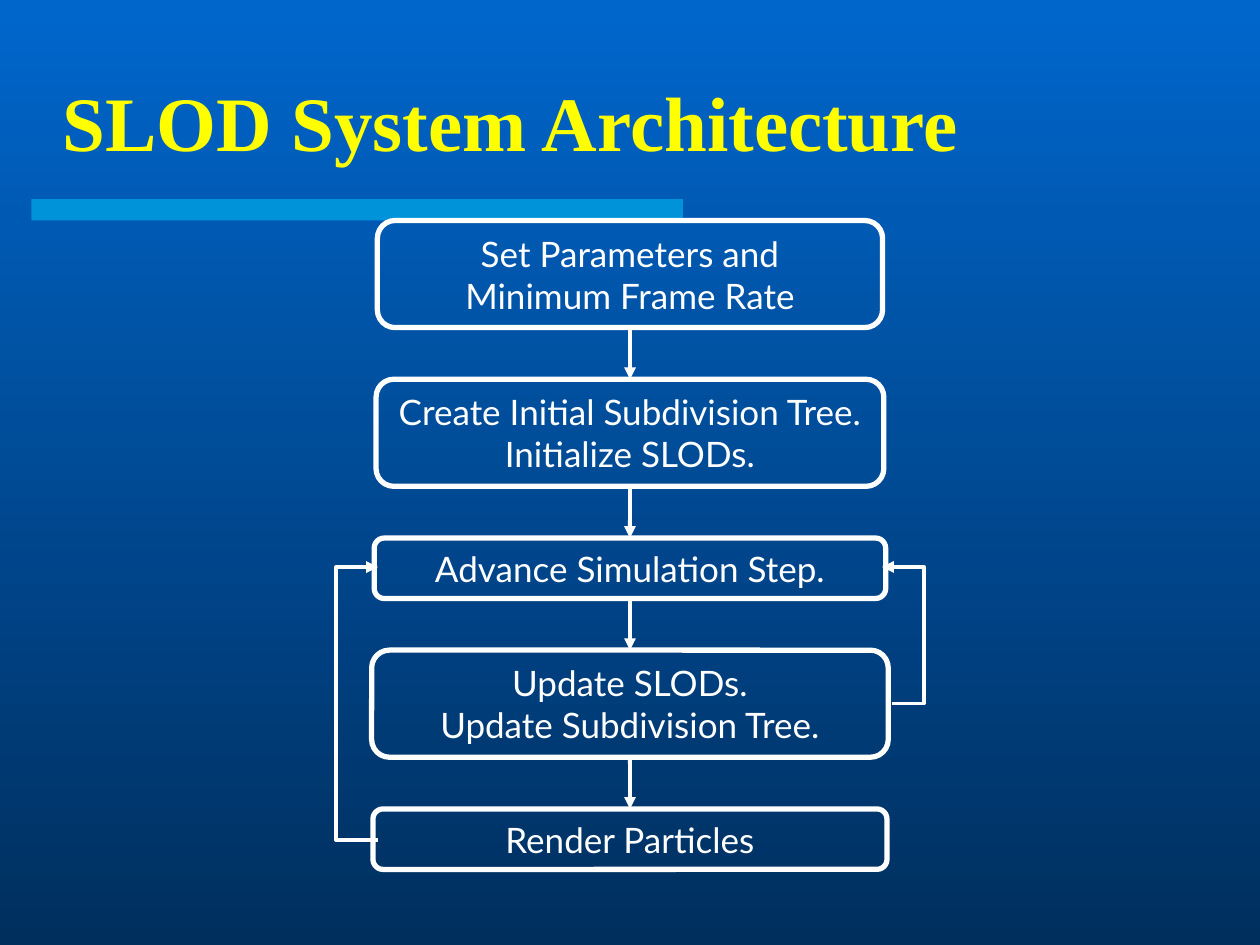
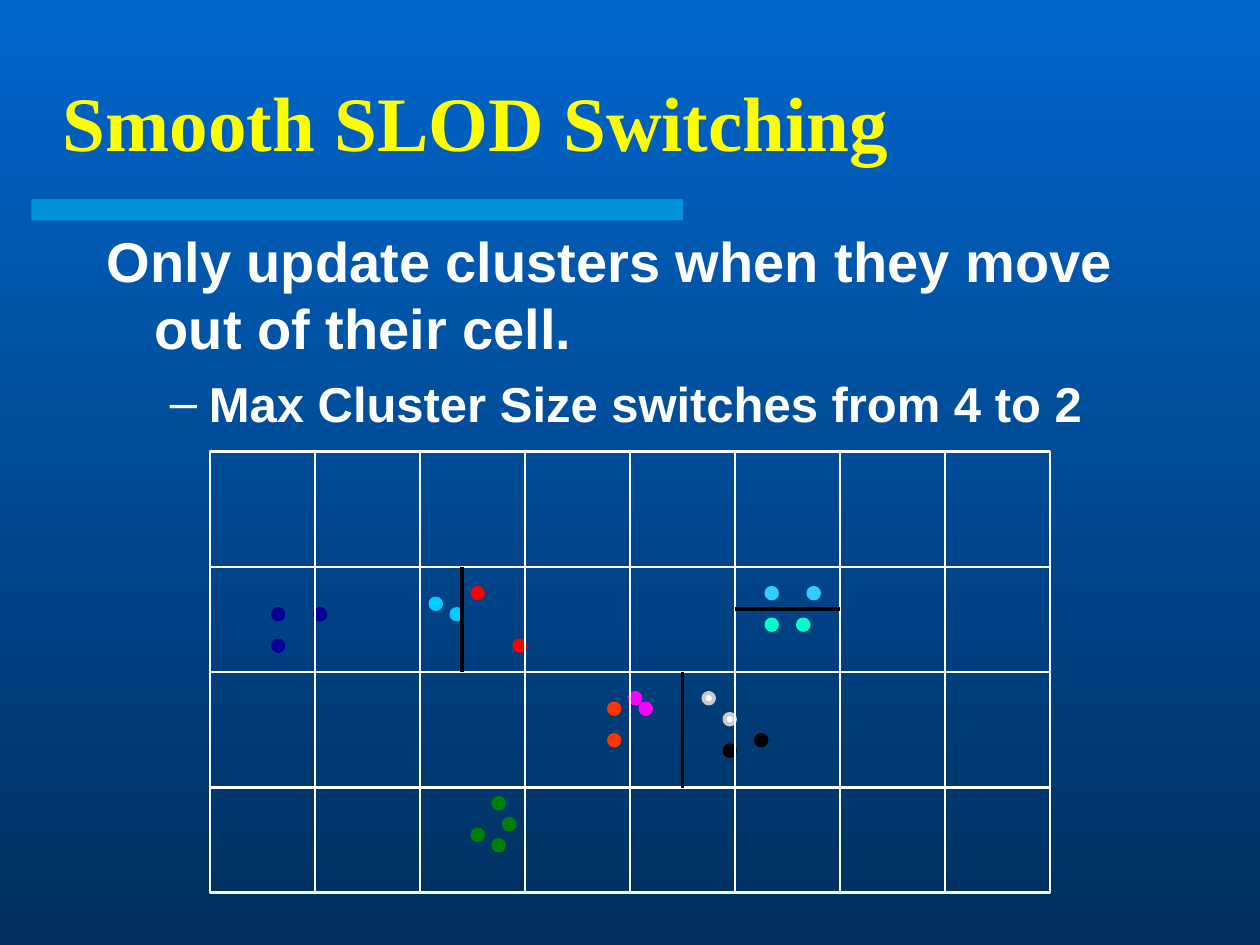
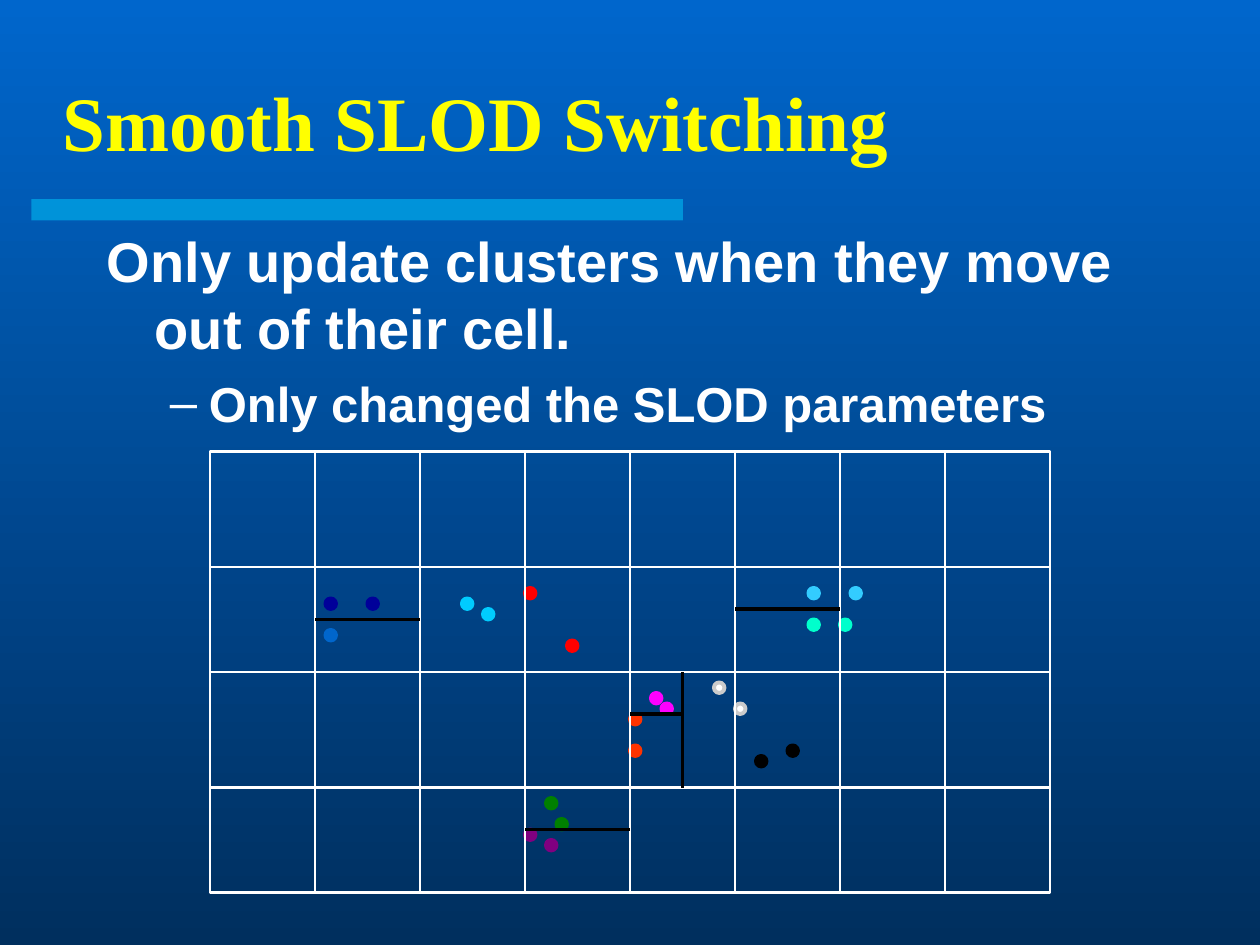
from itertools import pairwise

from pptx import Presentation
from pptx.dml.color import RGBColor as RGB
from pptx.enum.shapes import MSO_CONNECTOR as LINK, MSO_SHAPE as SHAPE
from pptx.enum.text import MSO_ANCHOR as ANCHOR, PP_ALIGN as ALIGN
from pptx.oxml.xmlchemy import OxmlElement as Node
from pptx.util import Inches, Pt

COLORS = {
    "top": "0066CC", "base": "002F5E", "title": "FFFF00", "white": "FFFFFF",
    "gray": "CBCBCB", "black": "000000", "cyan": "00CCFF", "sky": "33CCFF",
    "mint": "00FFCC", "navy": "000099", "blue": "0066CC", "red": "FF0000",
    "orange": "FF3300", "pink": "FF00FF", "green": "008000", "plum": "800080",
}
FONTS = {
    "title": {"name": "Times New Roman", "size": Pt(44), "bold": True},
    "body": {"name": "Arial", "size": Pt(32), "bold": True},
    "sub": {"name": "Arial", "size": Pt(28), "bold": True},
    "step": {"name": "Lato", "size": Pt(20), "bold": False},
}
PADS = {"margin_left": 0.1, "margin_right": 0.1, "margin_top": 0.05, "margin_bottom": 0.05}

STEPS = [  # text, width, height
    ("Set Parameters and\nMinimum Frame Rate", 4.01, 0.85),
    ("Create Initial Subdivision Tree. Initialize SLODs.", 4.03, 0.85),
    ("Advance Simulation Step.", 4.06, 0.48),
    ("Update SLODs.\nUpdate Subdivision Tree.", 4.1, 0.85),
    ("Render Particles", 4.08, 0.48),
]
GAP = 0.41

# Loops, grid, dots and splits are measured in twelfths of an inch.
LOOPS = [
    [(85, 67), (88, 67), (88, 54), (84, 54)],
    [(36, 80), (32, 80), (32, 54), (36, 54)],
]
TOP, FOOT, CELL, HALF = 43, 85, 10, 40
ROWS = (54, 64, 75)
HALVES = (20, 60)

PHASES = [
    {
        "note": "Max Cluster Size switches from 4 to 2",
        "dots": {
            "orange": [(58, 67), (58, 70)],
            "pink": [(60, 66), (61, 67)],
            "navy": [(30, 58), (26, 58), (26, 61)],
            "cyan": [(41, 57), (43, 58)],
            "red": [(45, 56), (49, 61)],
            "sky": [(77, 56), (73, 56)],
            "mint": [(76, 59), (73, 59)],
            "green": [(45, 79), (47, 76), (48, 78), (47, 80)],
            "white": [(69, 68), (67, 66)],
            "black": [(72, 70), (69, 71)],
        },
        "splits": [(44, 54, 44, 64), (80, 58, 70, 58), (65, 64, 65, 75)],
    },
    {
        "note": "Only changed the SLOD parameters",
        "dots": {
            "orange": [(60, 68), (60, 71)],
            "pink": [(62, 66), (63, 67)],
            "navy": [(35, 57), (31, 57)],
            "blue": [(31, 60)],
            "cyan": [(44, 57), (46, 58)],
            "red": [(50, 56), (54, 61)],
            "sky": [(81, 56), (77, 56)],
            "mint": [(80, 59), (77, 59)],
            "green": [(52, 76), (53, 78)],
            "plum": [(50, 79), (52, 80)],
            "white": [(70, 67), (68, 65)],
            "black": [(75, 71), (72, 72)],
        },
        "splits": [(80, 58, 70, 58), (65, 64, 65, 75), (40, 59, 30, 59),
                   (65, 68, 60, 68), (60, 79, 50, 79)],
    },
]


def color(name):
    return RGB.from_string(COLORS[name])


def unit(*nums):
    """Turn twelfths of an inch into inches."""
    return [num / 12 for num in nums]


def child(parent, tag, **attrs):
    node = Node(tag)
    for key, val in attrs.items():
        node.set(key, val)
    parent.append(node)
    return node


class Deck:
    def __init__(self):
        self.prs = Presentation()
        self.prs.slide_width, self.prs.slide_height = Inches(10), Inches(7.5)
        fill = self.prs.slide_master.background.fill
        fill.gradient()
        fill.gradient_angle = 270
        for stop, name in zip(fill.gradient_stops, ("top", "base")):
            stop.color.rgb = color(name)

    def page(self, title):
        """Start a slide with its band and title."""
        self.slide = self.prs.slides.add_slide(self.prs.slide_layouts[6])
        self.shapes = self.slide.shapes
        band = self.shape(SHAPE.RECTANGLE, (0.25, 1.58, 5.17, 0.17), fill="cyan")
        tint = band.fill._xPr.solidFill[0]
        child(tint, "a:alpha", val="50000")
        frame = self.text((0.4, 0.33, 8.85, 1.25), title)
        frame.vertical_anchor = ANCHOR.MIDDLE
        self.style(frame.paragraphs[0], "title", "title")

    def style(self, para, kind, tone="white"):
        for key, val in FONTS[kind].items():
            setattr(para.font, key, val)
        para.font.color.rgb = color(tone)

    def pad(self, frame, **more):
        frame.word_wrap = True
        for key, val in (PADS | more).items():
            setattr(frame, key, Inches(val))

    def text(self, place, words):
        frame = self.shapes.add_textbox(*map(Inches, place)).text_frame
        self.pad(frame)
        frame.text = words
        return frame

    def paint(self, shape, fill=None, line=None, width=1.5):
        shape.shadow.inherit = False
        if fill:
            shape.fill.solid()
            shape.fill.fore_color.rgb = color(fill)
        else:
            shape.fill.background()
        if line:
            self.ink(shape.line, line, width)
        else:
            shape.line.fill.background()

    def ink(self, line, tone, width, arrow=False):
        line.color.rgb = color(tone)
        line.width = Pt(width)
        if arrow:
            child(line._get_or_add_ln(), "a:tailEnd", type="triangle")

    def shape(self, kind, place, **look):
        shape = self.shapes.add_shape(kind, *map(Inches, place))
        self.paint(shape, **look)
        return shape

    def step(self, words, top, width, height):
        place = (5 - width / 2, top, width, height)
        box = self.shape(SHAPE.FLOWCHART_ALTERNATE_PROCESS, place, line="white", width=3)
        frame = box.text_frame
        self.pad(frame, margin_left=0.06, margin_right=0.06)
        frame.vertical_anchor = ANCHOR.MIDDLE
        frame.text = words
        for para in frame.paragraphs:
            para.alignment = ALIGN.CENTER
            self.style(para, "step")
        return box

    def line(self, ends, tone="white", width=1.5, arrow=False):
        line = self.shapes.add_connector(LINK.STRAIGHT, *map(Inches, ends))
        self.ink(line.line, tone, width, arrow)
        child(line._element.spPr, "a:effectLst")
        return line

    def join(self, upper, lower):
        line = self.line((5, 1, 5, 2), width=2.25, arrow=True)
        line.begin_connect(upper, 2)
        line.end_connect(lower, 0)

    def loop(self, points):
        spots = [tuple(map(Inches, unit(*point))) for point in points]
        pen = self.shapes.build_freeform(*spots[0])
        pen.add_line_segments(spots[1:], close=False)
        shape = pen.convert_to_shape()
        self.paint(shape, line="white", width=2.25)
        child(shape.line._get_or_add_ln(), "a:tailEnd", type="triangle")

    def body(self, lead, note):
        frame = self.text((0.75, 1.75, 8.5, 4.5), f"{lead}\n{note}")
        looks = [("body", 8, 0.38, -0.38), ("sub", 7, 0.81, -0.31)]
        for para, (kind, space, left, hang) in zip(frame.paragraphs, looks):
            self.style(para, kind)
            para.space_before = Pt(space)
            props = para._p.get_or_add_pPr()
            props.set("marL", str(Inches(left)))
            props.set("indent", str(Inches(hang)))
        child(props, "a:buFont", typeface="Arial")
        child(props, "a:buChar", char="–")
        # Bullet marks come before the default run style.
        props.append(props.find(props.tag.replace("pPr", "defRPr")))

    def dot(self, tone, x, y):
        edge = "gray" if tone == "white" else tone
        self.shape(SHAPE.OVAL, unit(x, y, 1, 1), fill=tone, line=edge, width=2.25)

    def grid(self):
        for left in HALVES:
            right = left + HALF
            self.shape(SHAPE.RECTANGLE, unit(left, TOP, HALF, FOOT - TOP), line="white")
            for x in range(left + CELL, right, CELL):
                self.line(unit(x, TOP, x, FOOT))
            for y in ROWS:
                self.line(unit(left, y, right, y))


def flow(deck):
    deck.page("SLOD System Architecture")
    boxes, top = [], 1.75
    for words, width, height in STEPS:
        boxes.append(deck.step(words, top, width, height))
        top += height + GAP
    for upper, lower in pairwise(boxes):
        deck.join(upper, lower)
    for points in LOOPS:
        deck.loop(points)


def phase(deck, note, dots, splits):
    deck.page("Smooth SLOD Switching")
    deck.body("Only update clusters when they move out of their cell.", note)
    for tone, spots in dots.items():
        for x, y in spots:
            deck.dot(tone, x, y)
    deck.grid()
    for ends in splits:
        deck.line(unit(*ends), tone="black", width=2.25)


def main():
    deck = Deck()
    flow(deck)
    for data in PHASES:
        phase(deck, **data)
    deck.prs.save("out.pptx")


if __name__ == "__main__":
    main()
